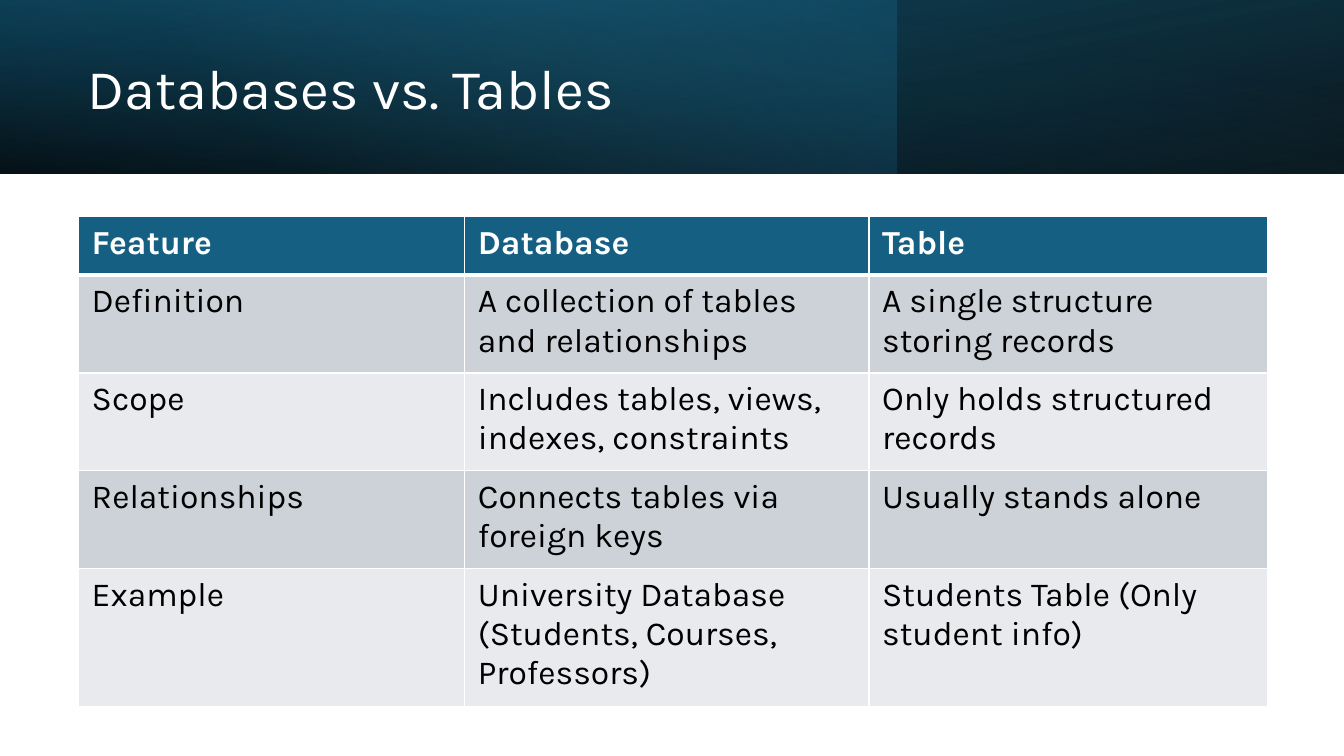
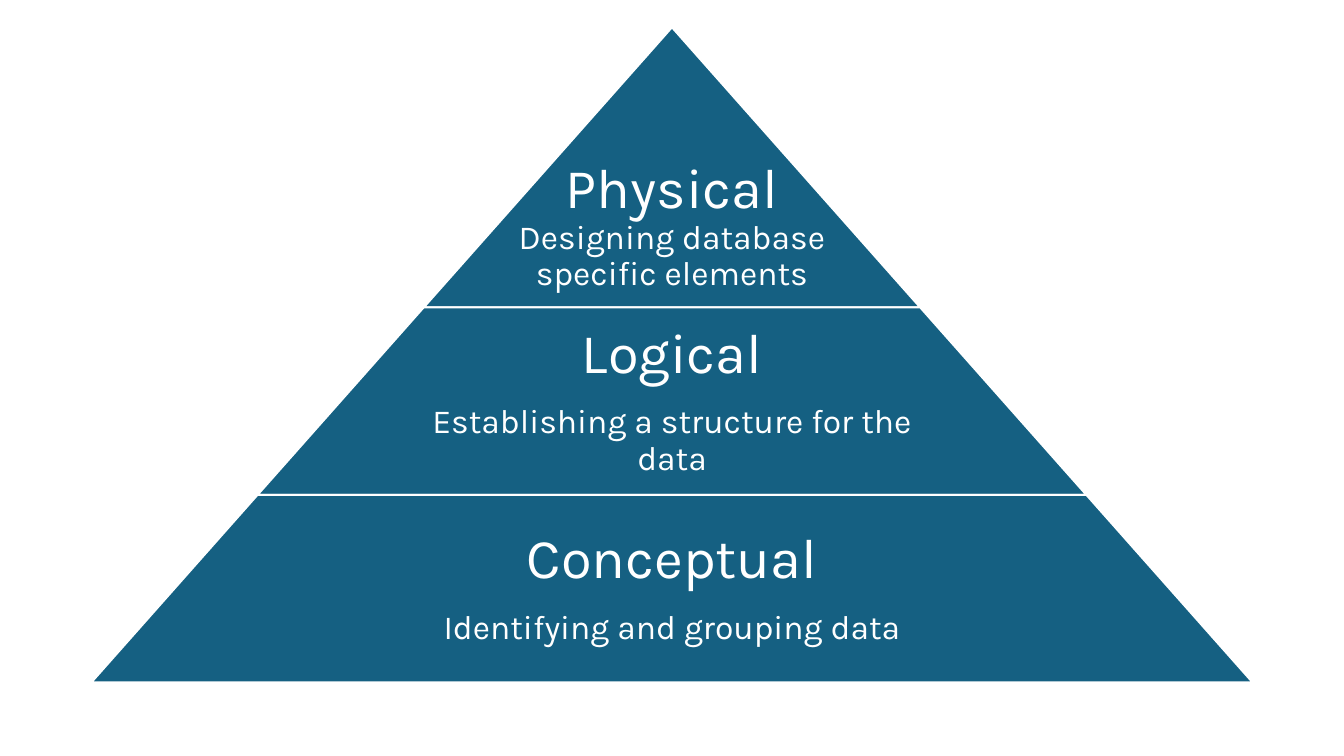
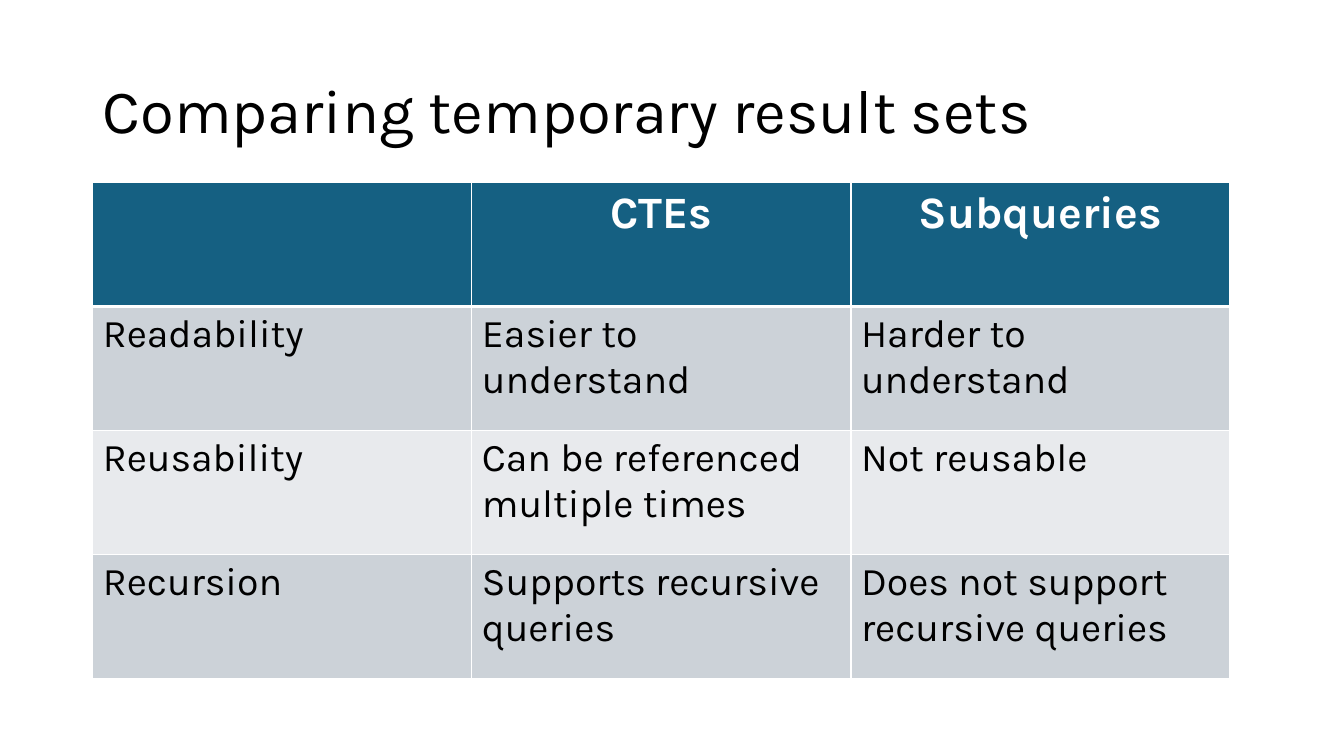
from dataclasses import dataclass

import pptx
import pptx.dml.color
import pptx.enum.shapes
import pptx.enum.text
import pptx.oxml
import pptx.oxml.ns
import pptx.util
from pptx.util import Inches

SHAPE = pptx.enum.shapes.MSO_SHAPE
ALIGN = pptx.enum.text.PP_ALIGN
ANCHOR = pptx.enum.text.MSO_ANCHOR
TITLE_ONLY, BLANK = 5, 6


@dataclass(frozen=True)
class Theme:
    font: str = "Karla"
    white: str = "FFFFFF"
    black: str = "000000"
    accent: str = "156082"
    deep: str = "104862"
    sky: str = "46B1E1"
    bands: tuple = ("CCD2D8", "E8EAED")
    title: int = 44
    heading: int = 40
    text: int = 24


THEME = Theme()


def rgb(value):
    return pptx.dml.color.RGBColor.from_string(value)


# Text
def add_run(p, text, size, color, bold=False):
    r = p.add_run()
    r.text = text
    r.font.name = THEME.font
    r.font.size = pptx.util.Pt(size)
    r.font.bold = bold
    r.font.color.rgb = rgb(color)


def set_title(s, text, box, size, color):
    sp = s.shapes.title
    sp.left, sp.top, sp.width, sp.height = map(Inches, box)
    tf = sp.text_frame
    tf.word_wrap = True
    tf.auto_size = pptx.enum.text.MSO_AUTO_SIZE.NONE
    tf.vertical_anchor = ANCHOR.MIDDLE
    p = tf.paragraphs[0]
    p.alignment = ALIGN.LEFT
    p.line_spacing = 0.9
    add_run(p, text, size, color)
    return sp


# Gradient band; each stop is (position, colour, opacity in percent)
def add_band(s, width, stops, angle, flip=False, rotation=0):
    sp = s.shapes.add_shape(SHAPE.RECTANGLE, 0, 0, Inches(width), Inches(1.72))
    sp.shadow.inherit = False
    sp.line.fill.background()
    sp.rotation = rotation
    if flip:
        sp.element.spPr.find(pptx.oxml.ns.qn("a:xfrm")).set("flipH", "1")
    sp.fill.gradient()
    sp.fill.gradient_angle = 360 - angle
    stop_tags = sp.element.spPr.iter(pptx.oxml.ns.qn("a:gs"))
    for stop, tag, (position, color, opacity) in zip(
            sp.fill.gradient_stops, stop_tags, stops):
        stop.position = position
        stop.color.rgb = rgb(color)
        alpha = pptx.oxml.parse_xml(
            f'<a:alpha {pptx.oxml.ns.nsdecls("a")} val="{opacity * 1000}"/>')
        tag[0].append(alpha)


# Table
def set_borders(cell, widths):
    tc_pr = cell._tc.get_or_add_tcPr()
    for i, (side, width) in enumerate(zip("LRTB", widths)):
        tc_pr.insert(i, pptx.oxml.parse_xml(
            f'<a:ln{side} {pptx.oxml.ns.nsdecls("a")} w="{pptx.util.Pt(width)}">'
            f'<a:solidFill><a:srgbClr val="{THEME.white}"/></a:solidFill>'
            f'</a:ln{side}>'))


def add_table(s, left, top, widths, heights, rows, header_size, body_size,
              header_align=ALIGN.LEFT, margins=(0.1, 0.05)):
    table = s.shapes.add_table(
        len(rows), len(widths), Inches(left), Inches(top),
        Inches(sum(widths)), Inches(sum(heights))).table
    for column, width in zip(table.columns, widths):
        column.width = Inches(width)
    for i, (row, height, texts) in enumerate(zip(table.rows, heights, rows)):
        row.height = Inches(height)
        header = i == 0
        for cell, text in zip(row.cells, texts):
            cell.margin_left = cell.margin_right = Inches(margins[0])
            cell.margin_top = cell.margin_bottom = Inches(margins[1])
            cell.fill.solid()
            cell.fill.fore_color.rgb = rgb(
                THEME.accent if header else THEME.bands[(i - 1) % 2])
            set_borders(cell, (1, 1, 3 if i == 1 else 1, 3 if header else 1))
            p = cell.text_frame.paragraphs[0]
            p.alignment = header_align if header else ALIGN.LEFT
            if text:
                add_run(p, text, header_size if header else body_size,
                        THEME.white if header else THEME.black, header)


# Pyramid level: a trapezoid with its text laid over it
def add_level(s, top, width, height, slope, text_width, lines,
              gap=0.0, inset_top=0.06):
    center = 13.33 / 2
    sp = s.shapes.add_shape(SHAPE.TRAPEZOID, Inches(center - width / 2),
                            Inches(top), Inches(width), Inches(height))
    sp.adjustments[0] = slope
    sp.shadow.inherit = False
    sp.fill.solid()
    sp.fill.fore_color.rgb = rgb(THEME.accent)
    sp.line.color.rgb = rgb(THEME.white)
    sp.line.width = pptx.util.Pt(1.5)

    tf = s.shapes.add_textbox(Inches(center - text_width / 2), Inches(top),
                              Inches(text_width), Inches(height)).text_frame
    tf.word_wrap = True
    tf.vertical_anchor = ANCHOR.MIDDLE
    tf.margin_left = tf.margin_right = tf.margin_bottom = Inches(0.06)
    tf.margin_top = Inches(inset_top)
    for i, line in enumerate(lines):
        p = tf.paragraphs[0] if i == 0 else tf.add_paragraph()
        size = THEME.text if i else THEME.heading
        p.alignment = ALIGN.CENTER
        p.line_spacing = 0.9
        p.space_after = pptx.util.Pt(round(gap * size, 1))
        add_run(p, line, size, THEME.white)


# Slides
def databases_slide(prs):
    s = prs.slides.add_slide(prs.slide_layouts[TITLE_ONLY])
    add_band(s, 13.33, [(0, THEME.black, 96), (1, THEME.deep, 100)], 100,
             flip=True, rotation=180)
    add_band(s, 8.89, [(0, THEME.accent, 41), (0.74, THEME.sky, 0)], 140)
    add_band(s, 13.33, [(0, THEME.black, 63), (0.78, THEME.accent, 15)], 260,
             flip=True)
    sp = set_title(s, "Databases vs. Tables", (0.77, 0.27, 7.72, 1.27),
                   THEME.heading, THEME.white)
    sp.element.getparent().append(sp.element)  # title in front of the bands
    add_table(s, 0.78, 2.15, (3.83, 4.01, 3.95), (0.58, 0.97, 0.97, 0.97, 1.37), [
        ("Feature", "Database", "Table"),
        ("Definition", "A collection of tables and relationships",
         "A single structure storing records"),
        ("Scope", "Includes tables, views, indexes, constraints",
         "Only holds structured records"),
        ("Relationships", "Connects tables via foreign keys",
         "Usually stands alone"),
        ("Example", "University Database (Students, Courses, Professors)",
         "Students Table (Only student info)"),
    ], THEME.text, THEME.text, margins=(0.13, 0.07))


def pyramid_slide(prs):
    s = prs.slides.add_slide(prs.slide_layouts[BLANK])
    slope, apex = 0.886, 0.27
    levels = [
        (2.78, 1, 0, 1.23,
         ("Physical", "Designing database", "specific elements")),
        (1.86, 0.65, 0.35, 0.06,
         ("Logical", "Establishing a structure for the data")),
        (1.86, 0.65, 0.35, 0.06,
         ("Conceptual", "Identifying and grouping data")),
    ]
    depth = 0
    for height, text_share, gap, inset_top, lines in levels:
        top = apex + depth
        depth += height
        width = 2 * slope * depth
        add_level(s, top, width, height, slope, width * text_share, lines,
                  gap, inset_top)


def result_sets_slide(prs):
    s = prs.slides.add_slide(prs.slide_layouts[TITLE_ONLY])
    set_title(s, "Comparing temporary result sets", (0.92, 0.4, 11.5, 1.45),
              THEME.title, THEME.black)
    add_table(s, 0.92, 1.81, [3.76] * 3, [1.23] * 4, [
        ("", "CTEs", "Subqueries"),
        ("Readability", "Easier to understand", "Harder to understand"),
        ("Reusability", "Can be referenced multiple times", "Not reusable"),
        ("Recursion", "Supports recursive queries",
         "Does not support recursive queries"),
    ], 32, 28, header_align=ALIGN.CENTER)


def main():
    prs = pptx.Presentation()
    prs.slide_width, prs.slide_height = Inches(13.33), Inches(7.5)
    databases_slide(prs)
    pyramid_slide(prs)
    result_sets_slide(prs)
    prs.save("out.pptx")


if __name__ == "__main__":
    main()
